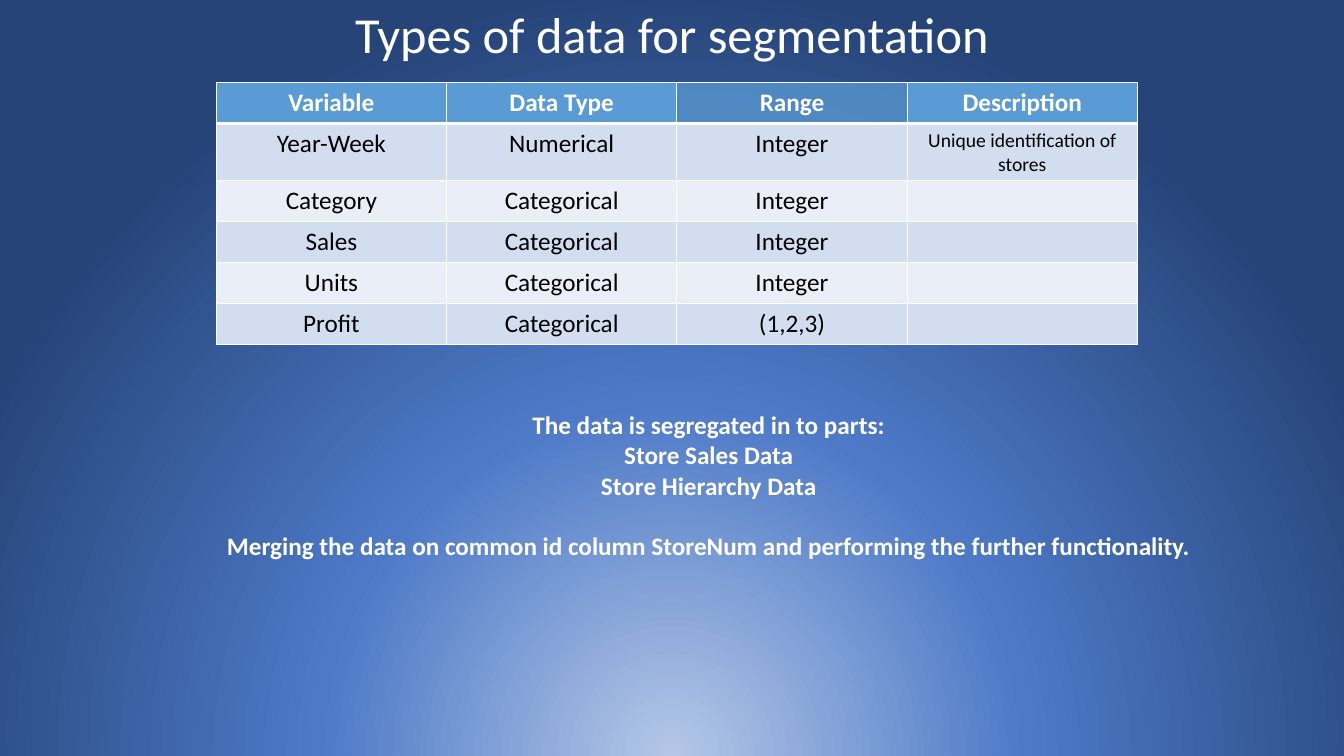
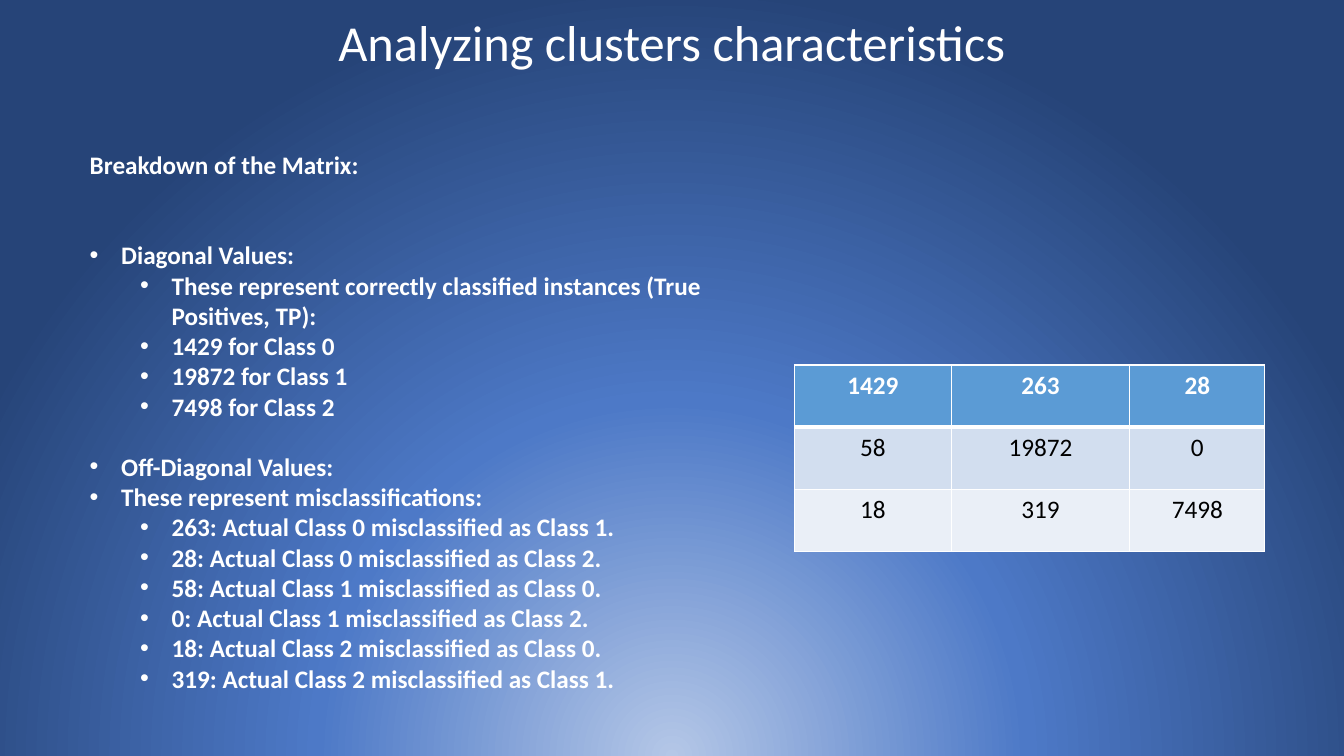
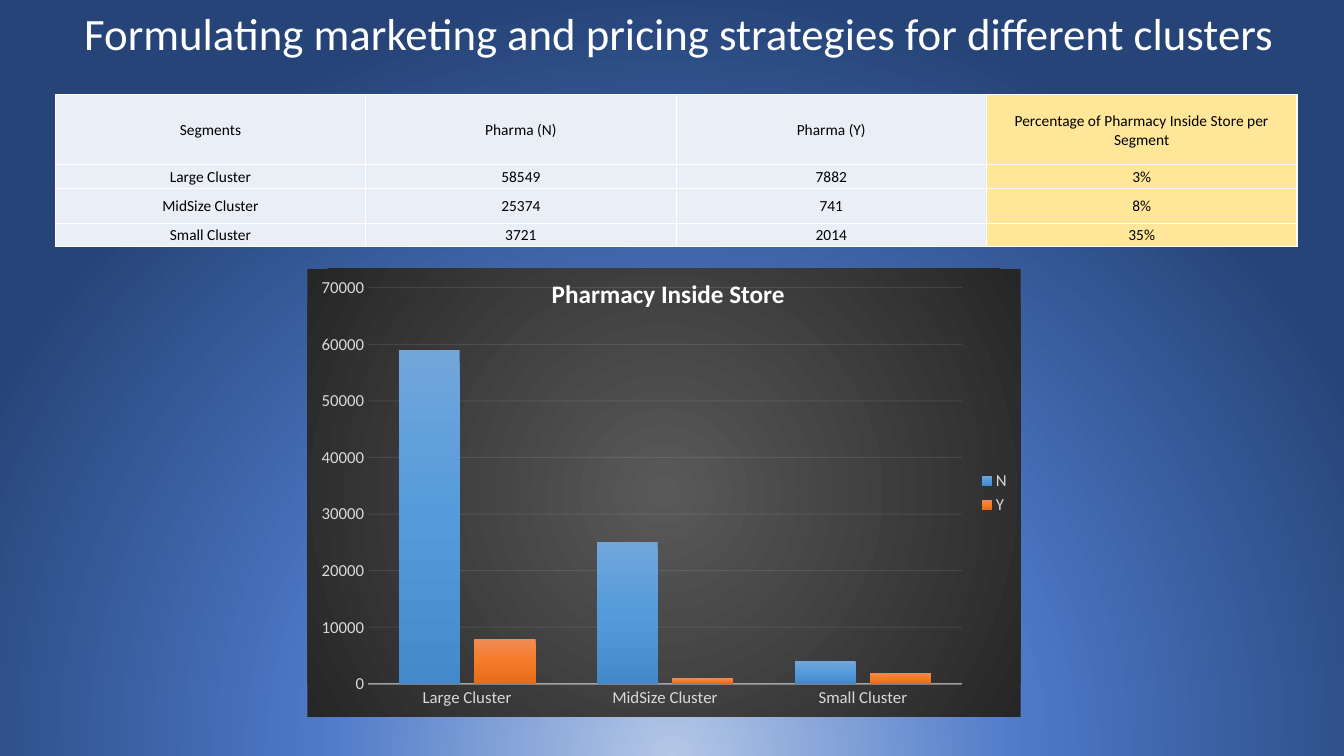
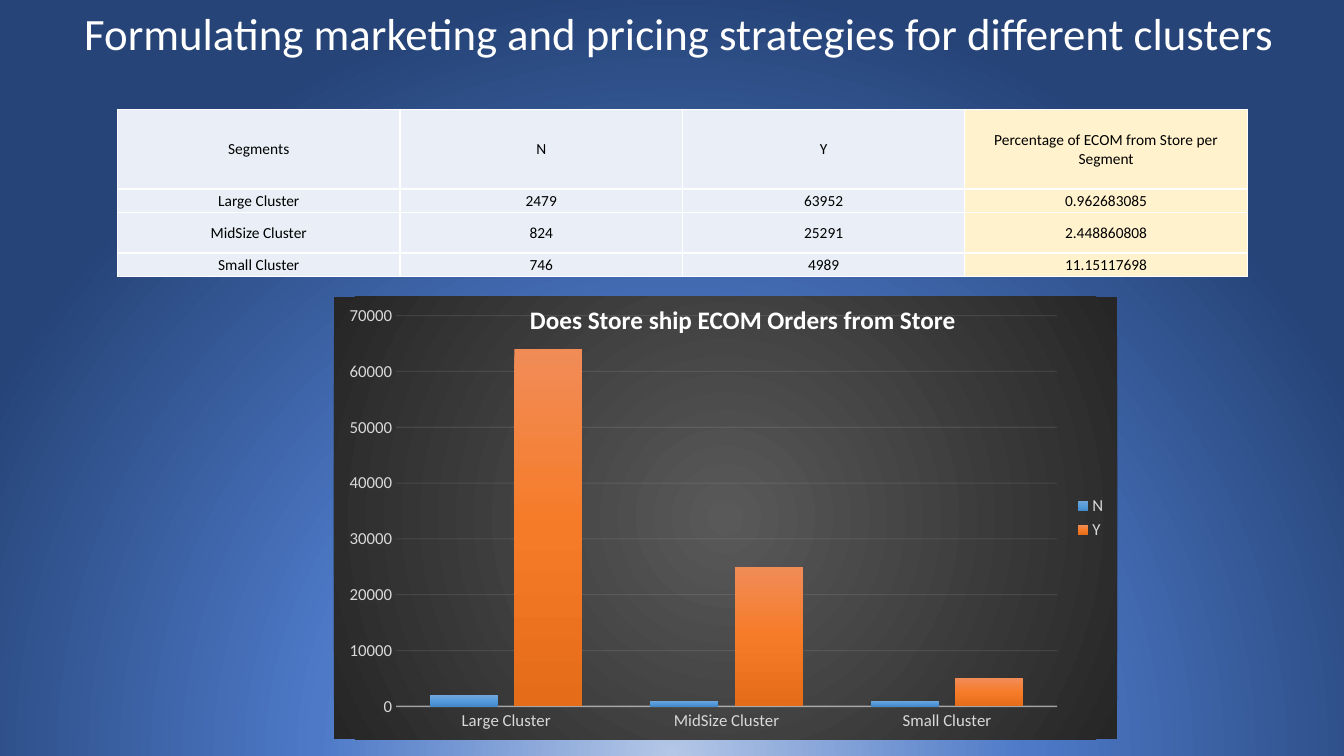
from lxml.etree import SubElement as sub
from pptx import Presentation
from pptx.chart.data import CategoryChartData as Data
from pptx.dml.color import RGBColor
from pptx.enum.chart import XL_CHART_TYPE as Kind, XL_LEGEND_POSITION as Side, XL_TICK_MARK as Tick
from pptx.enum.text import MSO_ANCHOR as Anchor, PP_ALIGN as Align
from pptx.oxml import parse_xml
from pptx.oxml.ns import nsdecls, qn
from pptx.util import Pt

FONT = "Calibri"
WHITE, BLACK, BLUE = "FFFFFF", "000000", "5B9BD5"
DARK, PALE = "D2DEEF", "EAEFF7"
SOFT, GREY = "F2F2F2", "D9D9D9"
GLOW = [(0, "B4C7E7"), (46, "4D79C7"), (100, "264478")]
COAL = [(0, "595959"), (100, "262626")]
BARS = [
    [(0, "71A6DB"), (50, "559BDB"), (100, "448ACA")],
    [(0, "F18C57"), (50, "F67B28"), (100, "E56C19")],
]
LINE = 21.5  # height of one 18-point line


def hue(code):
    return RGBColor.from_string(code)


def style(font, size, color, bold=False):
    font.name, font.size, font.bold = FONT, Pt(size), bold
    font.color.rgb = hue(color)


def blend(stops, focus=None):
    """Gradient element: circular around focus (l, t, r, b in %), else downward."""
    grad = parse_xml(f'<a:gradFill {nsdecls("a")} rotWithShape="1"><a:gsLst/></a:gradFill>')
    for pos, code in stops:
        stop = sub(grad[0], qn("a:gs"), pos=str(pos * 1000))
        sub(stop, qn("a:srgbClr"), val=code)
    if focus:
        way = sub(grad, qn("a:path"), path="circle")
        sub(way, qn("a:fillToRect"), {k: str(v * 1000) for k, v in zip("ltrb", focus)})
    else:
        sub(grad, qn("a:lin"), ang="5400000", scaled="0")
    return grad


def swap(fill, root, grad):
    """Replace the fill found under root by a gradient."""
    fill.solid()
    old = root.find(".//" + qn("a:solidFill"))
    old.getparent().replace(old, grad)


def fade(fill, percent):
    """Give a solidFill element this opacity."""
    sub(fill[0], qn("a:alpha"), val=str(percent * 1000))


def text(slide, box, lines, size=18, bold=True, align=None, wrap=True):
    frame = slide.shapes.add_textbox(*map(Pt, box)).text_frame
    frame.word_wrap = wrap
    frame.text = "\n".join(lines)
    for para in frame.paragraphs:
        para.alignment = align
        style(para.runs[0].font, size, WHITE, bold)
    return frame


def page(deck, title, box, size=36):
    slide = deck.slides.add_slide(deck.slide_layouts[6])
    frame = text(slide, box, [title], size, False, Align.CENTER)
    frame.vertical_anchor = Anchor.BOTTOM
    frame.paragraphs[0].line_spacing = 0.9
    return slide


def bullet(para, level):
    para.level = level
    props = para._p.get_or_add_pPr()
    props.set("marL", str(Pt(22.5 + 36 * level)))
    props.set("indent", str(-Pt(22.5)))
    sub(props, qn("a:buFont"), typeface="Arial")
    sub(props, qn("a:buChar"), char="•")


def border(cell, top=1, bottom=1):
    props = cell._tc.get_or_add_tcPr()
    for i, (side, width) in enumerate(zip("LRTB", (1, 1, top, bottom))):
        line = parse_xml(
            f'<a:ln{side} {nsdecls("a")} w="{Pt(width)}"><a:solidFill>'
            f'<a:srgbClr val="{WHITE}"/></a:solidFill></a:ln{side}>')
        props.insert(i, line)


def grid(slide, spot, widths, heights, rows):
    """Plain table with text and sizes set."""
    size = sum(widths), sum(heights)
    table = slide.shapes.add_table(len(rows), len(widths), *map(Pt, (*spot, *size))).table
    for col, width in zip(table.columns, widths):
        col.width = Pt(width)
    for row, height, words in zip(table.rows, heights, rows):
        row.height = Pt(height)
        for cell, word in zip(row.cells, words):
            cell.text = str(word)
            cell.text_frame.paragraphs[0].alignment = Align.CENTER
    return table


def dress(cell, fill, size, color, bold=False):
    cell.fill.solid()
    cell.fill.fore_color.rgb = hue(fill)
    for run in cell.text_frame.paragraphs[0].runs:
        style(run.font, size, color, bold)


def banded(*args):
    table = grid(*args)
    for i, row in enumerate(table.rows):
        for cell in row.cells:
            if i == 0:
                dress(cell, BLUE, 18, WHITE, True)
            else:
                dress(cell, DARK if i % 2 else PALE, 18, BLACK)
            border(cell, 3 if i == 1 else 1, 3 if i == 0 else 1)
    return table


def tinted(tint, *args):
    """Small table with its last column tinted."""
    for row in grid(*args).rows:
        cells = list(row.cells)
        for cell in cells:
            dress(cell, tint if cell is cells[-1] else PALE, 11, BLACK)
            border(cell)
            cell.vertical_anchor = Anchor.MIDDLE
            cell.margin_left = cell.margin_right = cell.margin_top = Pt(0.75)
            cell.margin_bottom = 0


def columns(slide, box, rows):
    """Chart of the counts, to the nearest thousand."""
    data = Data()
    data.categories = [row[0] for row in rows]
    for i, name in enumerate("NY", 1):
        data.add_series(name, [round(row[i], -3) for row in rows])
    chart = slide.shapes.add_chart(Kind.COLUMN_CLUSTERED, *map(Pt, box), data).chart
    style(chart.font, 10, BLACK)
    chart.has_title = False
    chart.has_legend = True
    chart.legend.position = Side.RIGHT
    chart.legend.include_in_layout = False
    style(chart.legend.font, 12, GREY)

    back = parse_xml(f'<c:spPr {nsdecls("c", "a")}><a:ln><a:noFill/></a:ln></c:spPr>')
    back.insert(0, blend(COAL, (50, 50, 50, 50)))
    chart.element.find(qn("c:chart")).addnext(back)

    plot = chart.plots[0]
    plot.gap_width, plot.overlap, plot.vary_by_categories = 100, -24, False
    for series, stops in zip(plot.series, BARS):
        swap(series.format.fill, series.format.element, blend(stops))

    cat, val = chart.category_axis, chart.value_axis
    for axis in (cat, val):
        axis.major_tick_mark = axis.minor_tick_mark = Tick.NONE
        style(axis.tick_labels.font, 12, GREY)
    val.format.line.fill.background()
    val.has_major_gridlines = True
    for form, width, alpha in ((cat.format, 1, 54), (val.major_gridlines.format, 0.75, 10)):
        form.line.width = Pt(width)
        form.line.color.rgb = hue(SOFT)
        fade(form.element.find(f".//{qn('a:ln')}/{qn('a:solidFill')}"), alpha)


def plan(deck, head, rows, tint, spot, width, heights, area, label, box):
    """Strategy slide: one table and a chart of the same counts."""
    title = "Formulating marketing and pricing strategies for different clusters"
    slide = page(deck, title, (15, 6.5, 940.5, 40), 32)
    tinted(tint, slide, spot, [width] * 4, heights, [head, *rows])
    columns(slide, area, rows)
    text(slide, box, [label])


def types(deck):
    slide = page(deck, "Types of data for segmentation", (12, 0, 936, 49.5))
    rows = [
        ("Variable", "Data Type", "Range", "Description"),
        ("Year-Week", "Numerical", "Integer", "Unique identification of stores"),
        ("Category", "Categorical", "Integer", ""),
        ("Sales", "Categorical", "Integer", ""),
        ("Units", "Categorical", "Integer", ""),
        ("Profit", "Categorical", "(1,2,3)", ""),
    ]
    table = banded(slide, (154.5, 59), [164.5] * 4, [29.25, 41] + [29.25] * 4, rows)
    fade(table.cell(0, 2)._tc.tcPr.find(qn("a:solidFill")), 74)
    table.cell(1, 3).text_frame.paragraphs[0].runs[0].font.size = Pt(14)
    lines = [
        "The data is segregated in to parts:",
        "Store Sales Data",
        "Store Hierarchy Data",
        "Merging the data on common id column StoreNum and performing the further functionality.",
    ]
    frame = text(slide, (152, 289, 708.5, 117), lines, align=Align.CENTER, wrap=False)
    frame.paragraphs[-1].space_before = Pt(LINE)


def matrix(deck):
    slide = page(deck, "Analyzing clusters characteristics", (12, 5.5, 936, 50))
    # text, level, blank lines above
    items = [
        ("Diagonal Values:", 0, 2),
        ("These represent correctly classified instances (True Positives, TP):", 1, 0),
        ("1429 for Class 0", 1, 0),
        ("19872 for Class 1", 1, 0),
        ("7498 for Class 2", 1, 0),
        ("Off-Diagonal Values:", 0, 1),
        ("These represent misclassifications:", 0, 0),
    ]
    wrong = [(263, 0, 1), (28, 0, 2), (58, 1, 0), (0, 1, 2), (18, 2, 0), (319, 2, 1)]
    items += [(f"{n}: Actual Class {a} misclassified as Class {b}.", 1, 0) for n, a, b in wrong]
    lines = ["Breakdown of the Matrix:"] + [item[0] for item in items]
    frame = text(slide, (57, 103, 516, 400), lines)
    for para, (_, level, gap) in zip(frame.paragraphs[1:], items):
        para.space_before = Pt(LINE * gap)
        bullet(para, level)
    rows = [(1429, 263, 28), (58, 19872, 0), (18, 319, 7498)]
    banded(slide, (567.5, 260.75), [112, 127.5, 96.5], [44.5] * 3, rows)


def main():
    deck = Presentation()
    deck.slide_width, deck.slide_height = Pt(960), Pt(540)
    master = deck.slide_master
    fill = master.background.fill
    swap(fill, master.element.find(".//" + qn("p:bg")), blend(GLOW, (50, 130, 50, -30)))
    types(deck)
    matrix(deck)
    plan(
        deck,
        ("Segments", "Pharma (N)", "Pharma (Y)", "Percentage of Pharmacy Inside Store per Segment"),
        [("Large Cluster", 58549, 7882, "3%"),
         ("MidSize Cluster", 25374, 741, "8%"),
         ("Small Cluster", 3721, 2014, "35%")],
        "FFE699", (39.5, 67.75), 221.75, [50, 16.75, 25, 16.75],
        (219.5, 192, 509.5, 320), "Pharmacy Inside Store", (387, 195, 198, 29))
    plan(
        deck,
        ("Segments", "N", "Y", "Percentage of ECOM from Store per Segment"),
        [("Large Cluster", 2479, 63952, "0.962683085"),
         ("MidSize Cluster", 824, 25291, "2.448860808"),
         ("Small Cluster", 746, 4989, "11.15117698")],
        "FFF2CC", (84, 78), 201.75, [57, 16.75, 29, 16.75],
        (238.5, 212, 559.5, 316), "Does Store ship ECOM Orders from Store", (371.5, 214, 340, 29))
    deck.save("out.pptx")


if __name__ == "__main__":
    main()
